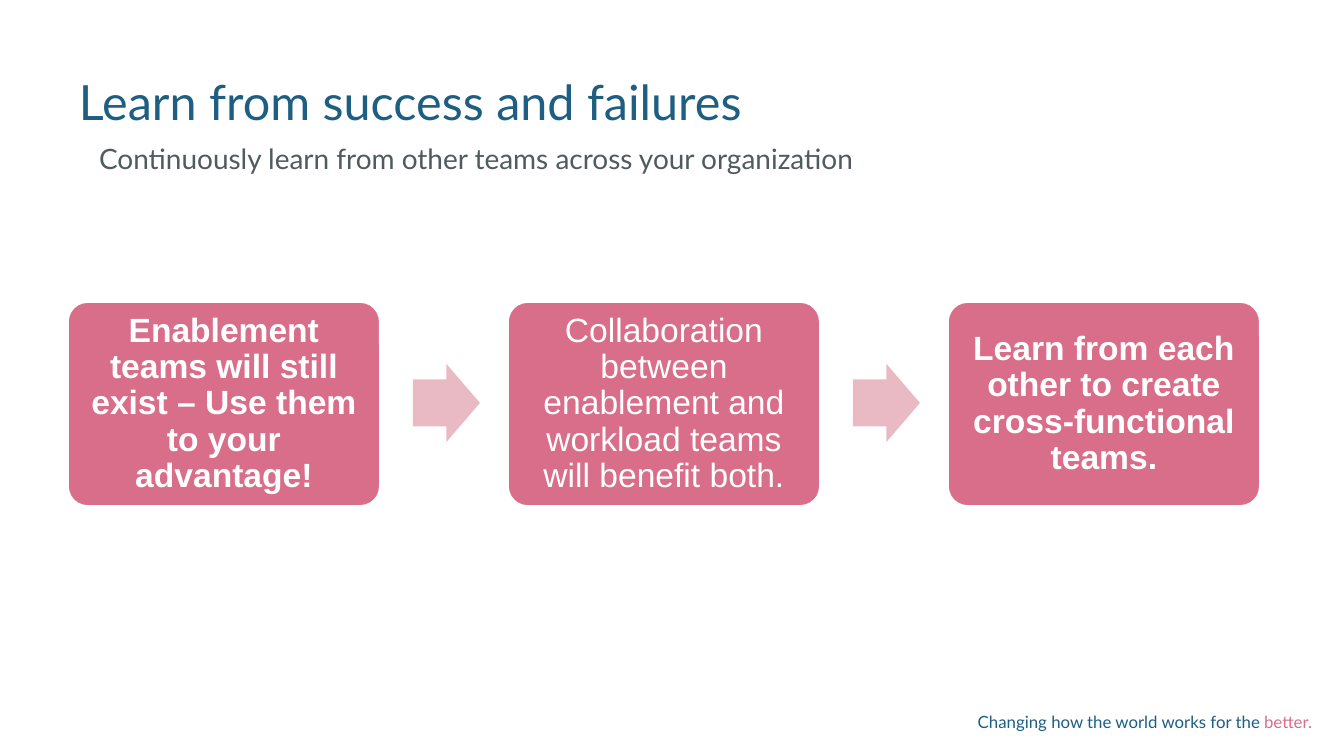
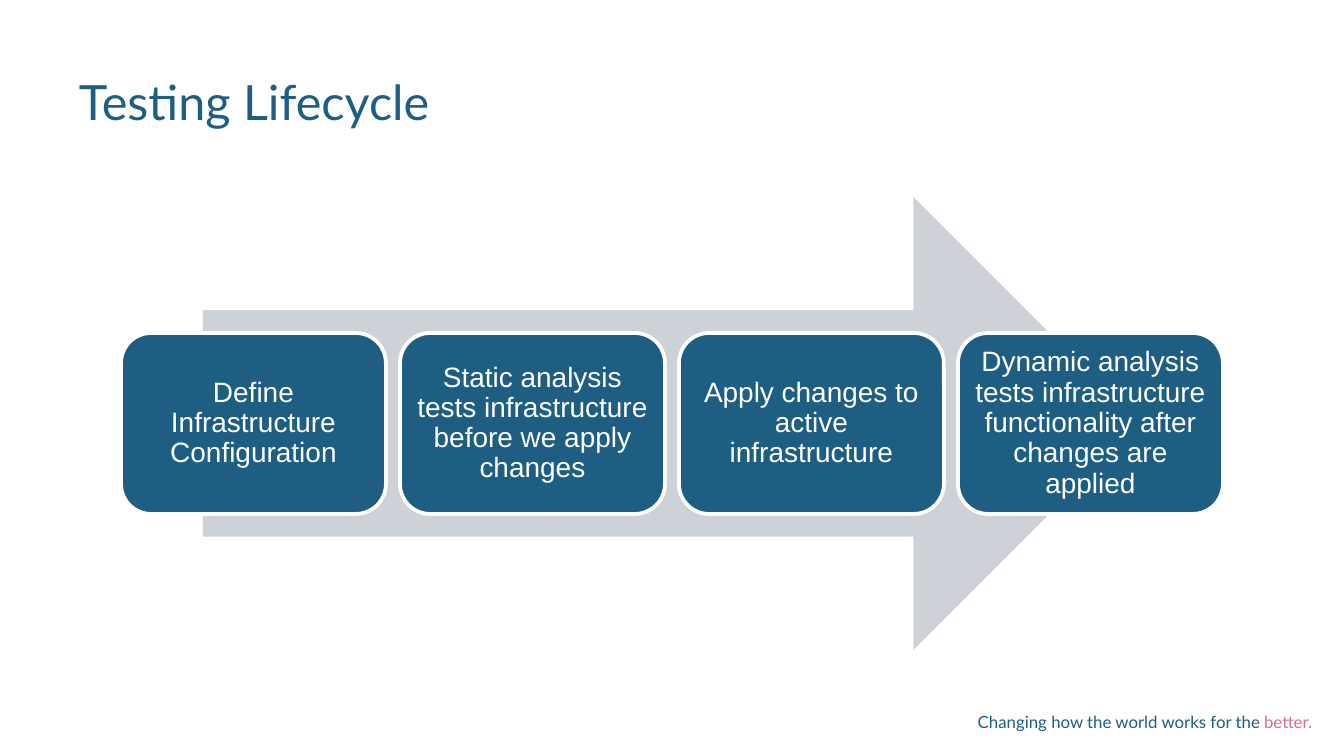
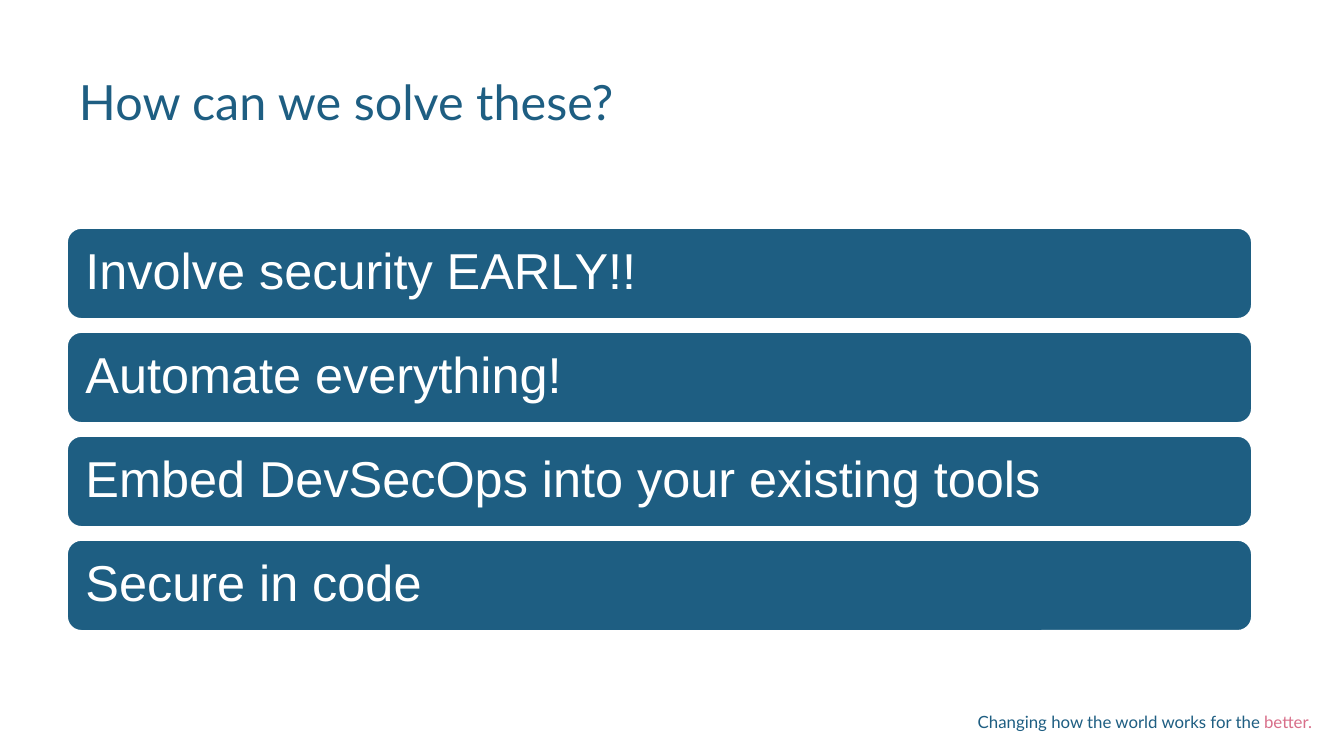
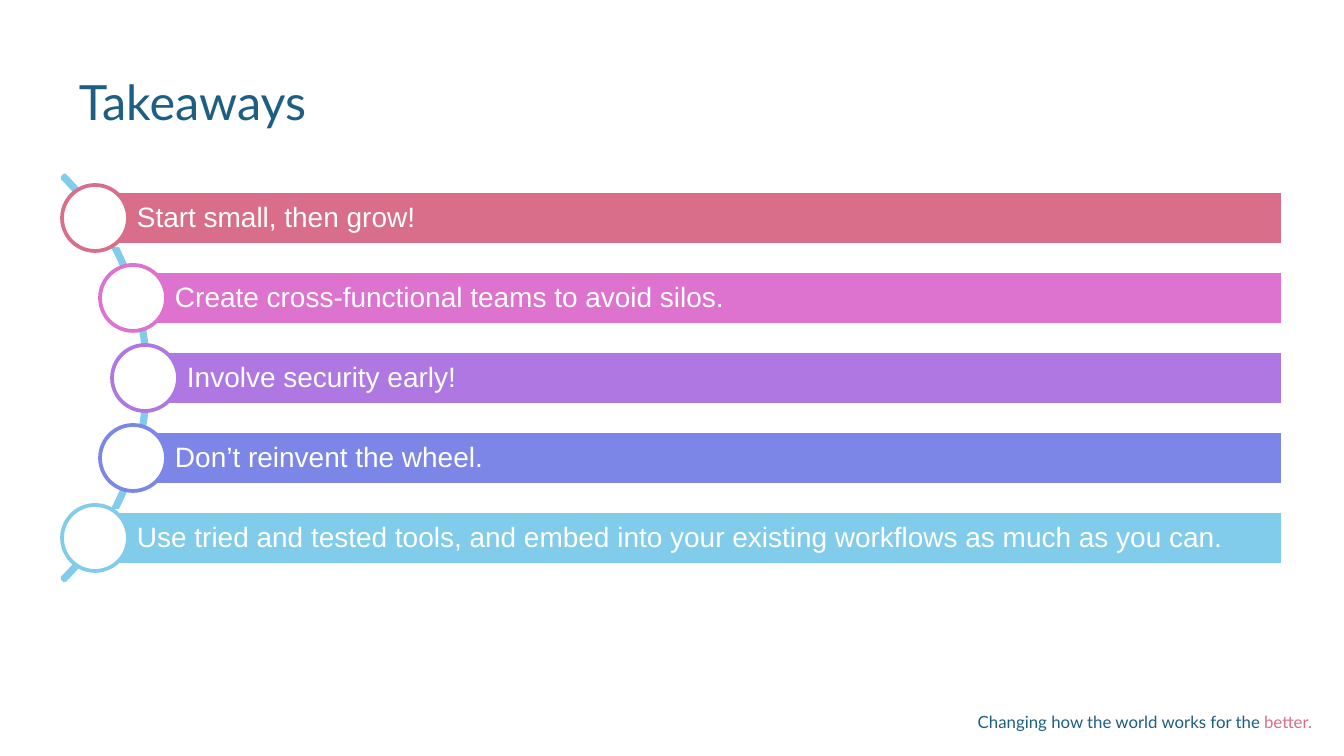
import math

import pptx
import pptx.util
from pptx.dml.color import RGBColor
from pptx.enum.shapes import MSO_SHAPE
from pptx.enum.text import MSO_ANCHOR, PP_ALIGN

EMU_PER_PX = 914400 / 134.4
SLIDE_WIDTH, SLIDE_HEIGHT = 1344, 756

COLORS = {
    "blue": "1E5E82",
    "rose": "D86E89",
    "pale_rose": "E9BAC4",
    "orchid": "DD72CF",
    "purple": "AE77E2",
    "periwinkle": "7C86E6",
    "sky": "81CCEA",
    "silver": "CDD2D8",
    "gray": "515A5D",
    "white": "FFFFFF",
}
HEADING_FONT = "Lato"
BODY_FONT = "Arial"


def px(length):
    return pptx.util.Emu(round(length * EMU_PER_PX))


def color(name):
    return RGBColor.from_string(COLORS[name])


def set_insets(frame, left, top, right, bottom):
    frame.margin_left, frame.margin_top = px(left), px(top)
    frame.margin_right, frame.margin_bottom = px(right), px(bottom)


def style(paragraph, font_name, size, color_name=None, bold=False):
    paragraph.font.name = font_name
    paragraph.font.size = pptx.util.Pt(size)
    paragraph.font.bold = bold
    if color_name:
        paragraph.font.color.rgb = color(color_name)


def add_text_box(slide, left, top, width, height, inset):
    """Add an empty wrapping text box and return its first paragraph."""
    frame = slide.shapes.add_textbox(px(left), px(top), px(width), px(height)).text_frame
    frame.word_wrap = True
    set_insets(frame, inset, inset, inset, inset)
    return frame.paragraphs[0]


def add_shape(slide, preset, left, top, width, height,
              fill=None, line=None, adjustments=()):
    shape = slide.shapes.add_shape(preset, px(left), px(top), px(width), px(height))
    shape.shadow.inherit = False
    for index, value in enumerate(adjustments):
        shape.adjustments[index] = value
    if fill:
        shape.fill.solid()
        shape.fill.fore_color.rgb = color(fill)
    else:
        shape.fill.background()
    if line:
        shape.line.color.rgb = color(line)
        shape.line.width = pptx.util.Pt(2)
    else:
        shape.line.fill.background()
    return shape


def write_label(shape, text, size, insets, align=PP_ALIGN.LEFT, bold=False):
    frame = shape.text_frame
    frame.word_wrap = True
    frame.vertical_anchor = MSO_ANCHOR.MIDDLE
    set_insets(frame, *insets)
    label = frame.paragraphs[0]
    label.text = text
    label.alignment = align
    label.line_spacing = 0.9
    style(label, BODY_FONT, size, "white", bold)


def add_footer(slide):
    tagline = add_text_box(slide, 956, 712, 356, 23, 0)
    tagline.alignment = PP_ALIGN.RIGHT
    style(tagline, HEADING_FONT, 9)
    for text, color_name in (("Changing how the world works for the ", "blue"),
                             ("better.", "rose")):
        run = tagline.add_run()
        run.text = text
        run.font.color.rgb = color(color_name)


def add_heading(slide, text, top, height, size, color_name):
    heading = add_text_box(slide, 66, top, 1212, height, 13)
    heading.text = text
    heading.line_spacing = 0.9
    style(heading, HEADING_FONT, size, color_name)
    return heading


def start_slide(deck, title):
    """Add a blank slide with the shared footer and title."""
    slide = deck.slides.add_slide(deck.slide_layouts[6])
    add_footer(slide)
    add_heading(slide, title, 66, 66, 26, "blue")
    return slide


def add_subtitle(slide, text):
    properties = add_heading(slide, text, 132, 48, 15, "gray")._p.get_or_add_pPr()
    properties.set("marL", str(px(67)))
    properties.set("indent", str(px(-47)))


def add_process(slide, steps):
    """Draw boxes in a row with a small arrow in each gap."""
    pitch = 440
    for index, (text, bold) in enumerate(steps):
        left = 67 + index * pitch
        box = add_shape(slide, MSO_SHAPE.ROUNDED_RECTANGLE, left, 301, 314, 206,
                        "rose", "white", [0.1])
        write_label(box, text, 18, [9] * 4, PP_ALIGN.CENTER, bold)
        if index < len(steps) - 1:
            add_shape(slide, MSO_SHAPE.RIGHT_ARROW, left + 346, 364, 67, 78,
                      "pale_rose", adjustments=[0.6, 0.5])


def add_lifecycle(slide, stages):
    """Draw stages in a row over one wide arrow."""
    add_shape(slide, MSO_SHAPE.RIGHT_ARROW, 203, 197, 937, 453, "silver")
    for index, text in enumerate(stages):
        stage = add_shape(slide, MSO_SHAPE.ROUNDED_RECTANGLE, 121 + index * 279, 333,
                          265, 181, "blue", "white")
        write_label(stage, text, 15, [8] * 4, PP_ALIGN.CENTER)


def add_stacked_bars(slide, answers):
    for index, text in enumerate(answers):
        bar = add_shape(slide, MSO_SHAPE.ROUNDED_RECTANGLE, 66, 227 + index * 104,
                        1187, 93, "blue", "white")
        write_label(bar, text, 27, [15] * 4)


def add_curved_list(slide, takeaways):
    """Draw bars that start at circles spaced along an arc."""
    center_x, center_y, arc_size = -138, 378, 573
    node_radius, node_size = 283, 66
    pitch, bar_height, right_edge = 80, 54, 1283
    add_shape(slide, MSO_SHAPE.BLOCK_ARC, center_x - arc_size / 2, center_y - arc_size / 2,
              arc_size, arc_size, line="sky", adjustments=[189, 27, 0.006])
    for index, (text, color_name) in enumerate(takeaways):
        offset = (index - (len(takeaways) - 1) / 2) * pitch
        node_x = round(center_x + math.sqrt(node_radius ** 2 - offset ** 2))
        node_y = center_y + offset
        bar = add_shape(slide, MSO_SHAPE.RECTANGLE, node_x, node_y - bar_height / 2,
                        right_edge - node_x, bar_height, color_name, "white")
        write_label(bar, text, 15, [42, 5, 5, 5])
        add_shape(slide, MSO_SHAPE.OVAL, node_x - node_size / 2, node_y - node_size / 2,
                  node_size, node_size, "white", color_name)


def main():
    deck = pptx.Presentation()
    deck.slide_width, deck.slide_height = px(SLIDE_WIDTH), px(SLIDE_HEIGHT)

    learning = start_slide(deck, "Learn from success and failures")
    add_process(learning, [
        ("Enablement teams will still exist – Use them to your advantage!", True),
        ("Collaboration between enablement and workload teams will benefit both.", False),
        ("Learn from each other to create cross-functional teams.", True),
    ])
    add_subtitle(learning, "Continuously learn from other teams across your organization")

    add_lifecycle(start_slide(deck, "Testing Lifecycle"), [
        "Define Infrastructure Configuration",
        "Static analysis tests infrastructure before we apply changes",
        "Apply changes to active infrastructure",
        "Dynamic analysis tests infrastructure functionality after changes are applied",
    ])

    add_stacked_bars(start_slide(deck, "How can we solve these?"), [
        "Involve security EARLY!!",
        "Automate everything!",
        "Embed DevSecOps into your existing tools",
        "Secure in code",
    ])

    add_curved_list(start_slide(deck, "Takeaways"), [
        ("Start small, then grow!", "rose"),
        ("Create cross-functional teams to avoid silos.", "orchid"),
        ("Involve security early!", "purple"),
        ("Don’t reinvent the wheel.", "periwinkle"),
        ("Use tried and tested tools, and embed into your existing workflows"
         " as much as you can.", "sky"),
    ])

    deck.save("out.pptx")


if __name__ == "__main__":
    main()
